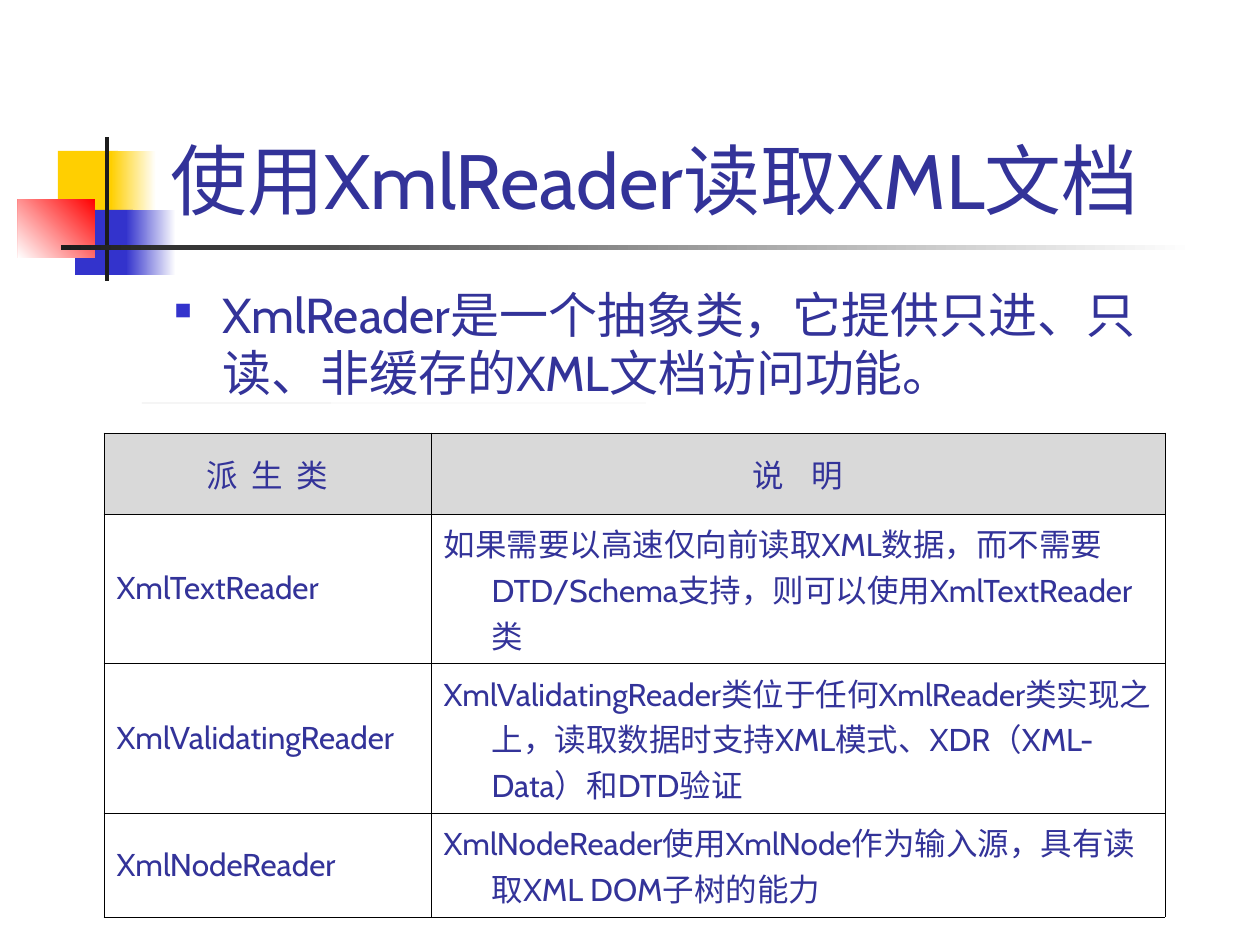
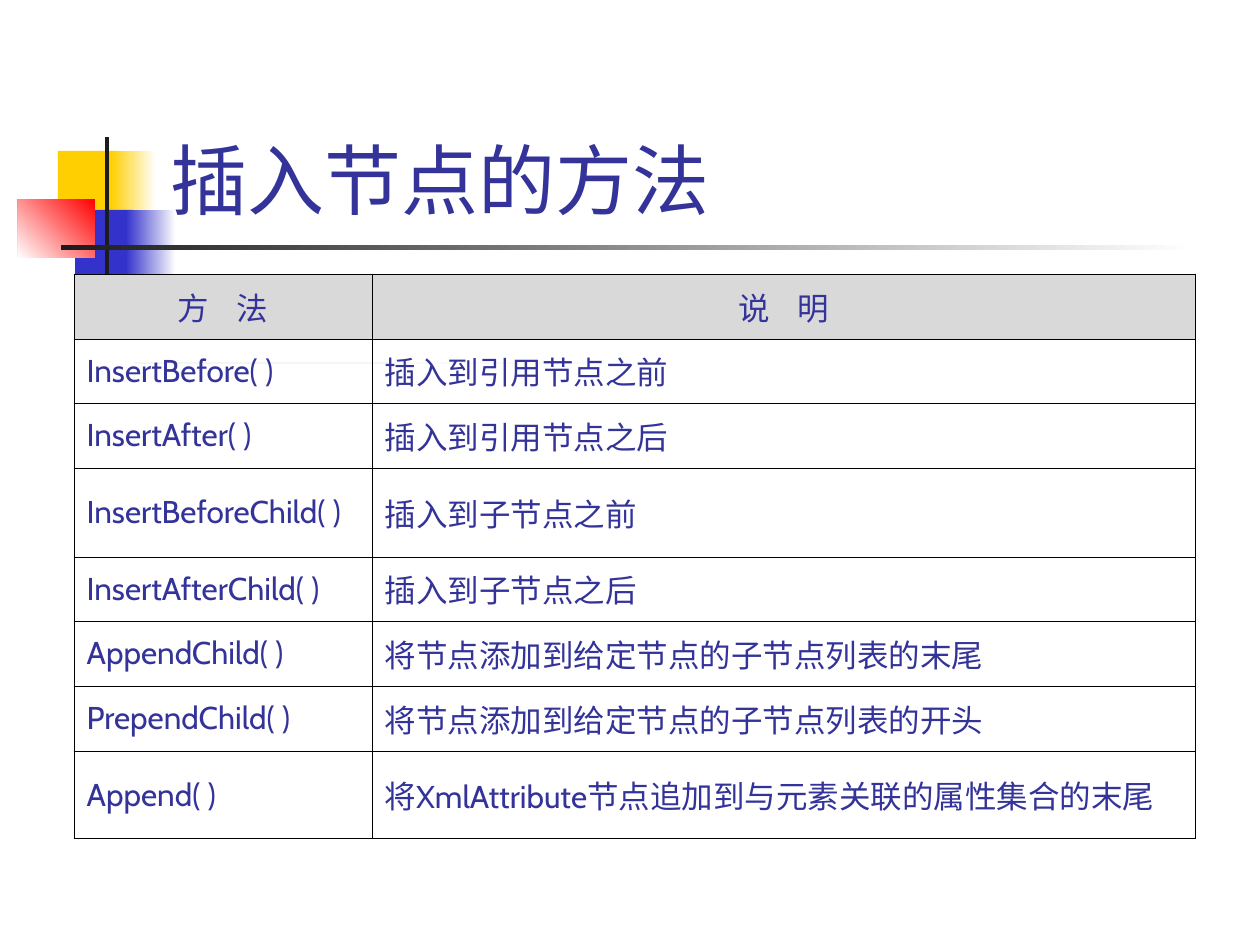
from lxml.etree import SubElement
from pptx import Presentation
from pptx.dml.color import RGBColor
from pptx.enum.shapes import MSO_SHAPE
from pptx.enum.text import MSO_ANCHOR, PP_ALIGN
from pptx.oxml.ns import qn
from pptx.util import Pt

SCALE = 914400 / 126
FONT = "Cabin"
INK, BLUE, YELLOW, RED = "333399", "3333CC", "FFCF01", "FF0000"
BLACK, WHITE, GRAY = "1C1C1C", "FFFFFF", "D9D9D9"
HANGING = 48


def px(*lengths):
    return [round(length * SCALE) for length in lengths]


def color(hex_string):
    return RGBColor.from_string(hex_string)


ornaments = [
    ((58, 151, 60, 66), [YELLOW], 0),
    ((111, 151, 45, 66), [WHITE, YELLOW], 180),
    ((75, 210, 58, 65), [BLUE], 0),
    ((126, 210, 50, 65), [WHITE, BLUE], 180),
    ((18, 199, 77, 59), [RED, WHITE], 225),
    ((105, 137, 4, 144), [BLACK], 0),
    ((61, 245, 1134, 5), [WHITE, BLACK], 180),
]

pages = [
    {
        "title": "使用XmlReader读取XML文档",
        "bullet": "XmlReader是一个抽象类，它提供只进、只读、非缓存的XML文档访问功能。",
        "hairlines": [(142, 403, 189, 0), (142, 403, 504, 0)],
        "origin": (104, 433),
        "columns": [327, 734],
        "row_heights": [81, 149, 150, 104],
        "header_spacing": [190, 590],
        "rows": [
            ("派 生 类", "说 明"),
            ("XmlTextReader", "如果需要以高速仅向前读取XML数据，而不需要DTD/Schema支持，则可以使用XmlTextReader类"),
            ("XmlValidatingReader", "XmlValidatingReader类位于任何XmlReader类实现之上，读取数据时支持XML模式、XDR（XML-Data）和DTD验证"),
            ("XmlNodeReader", "XmlNodeReader使用XmlNode作为输入源，具有读取XML DOM子树的能力"),
        ],
    },
    {
        "title": "插入节点的方法",
        "bullet": None,
        "hairlines": [(135, 363, 255, 0), (135, 363, 465, 0)],
        "origin": (74, 274),
        "columns": [298, 823],
        "row_heights": [65, 64, 65, 89, 64, 65, 65, 88],
        "header_spacing": [590, 590],
        "rows": [
            ("方 法", "说 明"),
            ("InsertBefore( )", "插入到引用节点之前"),
            ("InsertAfter( )", "插入到引用节点之后"),
            ("InsertBeforeChild( )", "插入到子节点之前"),
            ("InsertAfterChild( )", "插入到子节点之后"),
            ("AppendChild( )", "将节点添加到给定节点的子节点列表的末尾"),
            ("PrependChild( )", "将节点添加到给定节点的子节点列表的开头"),
            ("Append( )", "将XmlAttribute节点追加到与元素关联的属性集合的末尾"),
        ],
    },
]

presentation = Presentation()
presentation.slide_width, presentation.slide_height = px(1260, 945)

for page in pages:
    slide = presentation.slides.add_slide(presentation.slide_layouts[6])
    hairlines = [(box, [GRAY], 0) for box in page["hairlines"]]
    for box, colors, angle in ornaments + hairlines:
        shape = slide.shapes.add_shape(MSO_SHAPE.RECTANGLE, *px(*box))
        shape.shadow.inherit = False
        shape.line.fill.background()
        if len(colors) == 1:
            shape.fill.solid()
            shape.fill.fore_color.rgb = color(colors[0])
        else:
            shape.fill.gradient()
            shape.fill.gradient_angle = angle
            for stop, stop_color in zip(shape.fill.gradient_stops, colors):
                stop.color.rgb = color(stop_color)

    plain_paragraphs = []
    hanging_paragraphs = []
    title = slide.shapes.add_textbox(*px(158, 29, 1074, 202)).text_frame
    title.word_wrap = True
    title.vertical_anchor = MSO_ANCHOR.BOTTOM
    title.text = page["title"]
    plain_paragraphs.append((title.paragraphs[0], 44))

    if page["bullet"]:
        body = slide.shapes.add_textbox(*px(162, 278, 1030, 567)).text_frame
        body.word_wrap = True
        body.text = page["bullet"]
        paragraph = body.paragraphs[0]
        properties = paragraph._p.get_or_add_pPr()
        bullet_color = SubElement(properties, qn("a:buClr"))
        SubElement(bullet_color, qn("a:srgbClr"), val=BLUE)
        SubElement(properties, qn("a:buSzPct"), val="48000")
        SubElement(properties, qn("a:buChar"), char="■")
        hanging_paragraphs.append((paragraph, 28))

    rows, columns = page["rows"], page["columns"]
    size = sum(columns), sum(page["row_heights"])
    table = slide.shapes.add_table(len(rows), len(columns), *px(*page["origin"], *size)).table
    for column, width in zip(table.columns, px(*columns)):
        column.width = width
    for row, height in zip(table.rows, px(*page["row_heights"])):
        row.height = height

    for row_index, texts in enumerate(rows):
        for column_index, text in enumerate(texts):
            cell = table.cell(row_index, column_index)
            cell.text = text
            cell.vertical_anchor = MSO_ANCHOR.MIDDLE
            cell_properties = cell._tc.get_or_add_tcPr()
            for side in ("lnL", "lnR", "lnT", "lnB"):
                border = SubElement(cell_properties, qn(f"a:{side}"), w=str(Pt(0.45)))
                border_fill = SubElement(border, qn("a:solidFill"))
                SubElement(border_fill, qn("a:srgbClr"), val="000000")
            paragraph = cell.text_frame.paragraphs[0]
            if row_index == 0:
                cell.fill.solid()
                cell.fill.fore_color.rgb = color(GRAY)
                paragraph.alignment = PP_ALIGN.CENTER
                spacing = page["header_spacing"][column_index]
                paragraph.runs[0]._r.get_or_add_rPr().set("spc", str(spacing))
            else:
                cell.fill.background()
            hanging_paragraphs.append((paragraph, 18))

    for paragraph, points in hanging_paragraphs:
        properties = paragraph._p.get_or_add_pPr()
        indent = px(HANGING)[0]
        properties.set("marL", str(indent))
        properties.set("indent", str(-indent))

    for paragraph, points in plain_paragraphs + hanging_paragraphs:
        paragraph.font.name = FONT
        paragraph.font.size = Pt(points)
        paragraph.font.bold = False
        paragraph.font.color.rgb = color(INK)

presentation.save("out.pptx")
